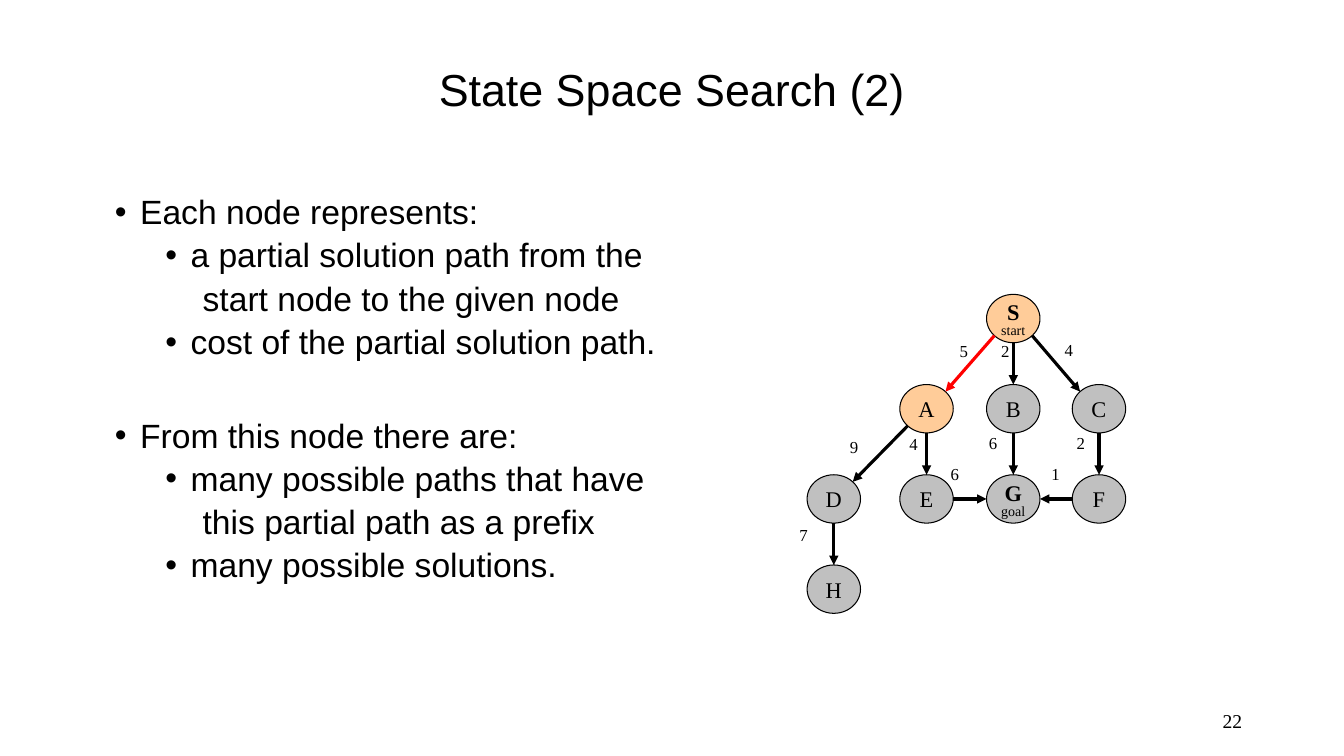
from math import hypot

from lxml.etree import SubElement
from pptx import Presentation
from pptx.dml.color import RGBColor
from pptx.enum.shapes import MSO_CONNECTOR as Line, MSO_SHAPE as Shape
from pptx.enum.text import MSO_ANCHOR as Anchor, MSO_AUTO_SIZE as Fit, PP_ALIGN as Align
from pptx.oxml.ns import qn
from pptx.util import Inches, Pt

BLACK = RGBColor(0, 0, 0)
RED = RGBColor(0xFF, 0, 0)
PEACH = RGBColor(0xFF, 0xCC, 0x99)
GRAY = RGBColor(0xC0, 0xC0, 0xC0)
SANS, SERIF = "Arial", "Times New Roman"

TITLE = "State Space Search (2)"
# text, level, bulleted, space before
POINTS = [
    ("Each node represents:", 0, True, 10),
    ("a partial solution path from the", 1, True, 5),
    ("start node to the given node", 1, False, 5),
    ("cost of the partial solution path.", 1, True, 5),
    ("From this node there are:", 0, True, 41),
    ("many possible paths that have", 1, True, 5),
    ("this partial path as a prefix", 1, False, 5),
    ("many possible solutions.", 1, True, 5),
]
PAGE = "22"

# name: column, row, fill, note
NODES = {
    "S": (2, 0, PEACH, "start"),
    "A": (1, 1, PEACH, ""),
    "B": (2, 1, GRAY, ""),
    "C": (3, 1, GRAY, ""),
    "D": (0, 2, GRAY, ""),
    "E": (1, 2, GRAY, ""),
    "G": (2, 2, GRAY, "goal"),
    "F": (3, 2, GRAY, ""),
    "H": (0, 3, GRAY, ""),
}
# from, to, cost, left and top of the cost, colour
EDGES = [
    ("S", "A", "5", 9.42, 3.33, RED),
    ("S", "B", "2", 9.83, 3.33, BLACK),
    ("S", "C", "4", 10.46, 3.32, BLACK),
    ("A", "D", "9", 8.33, 4.28, BLACK),
    ("A", "E", "4", 8.92, 4.25, BLACK),
    ("B", "G", "6", 9.71, 4.24, BLACK),
    ("C", "F", "2", 10.58, 4.24, BLACK),
    ("D", "H", "7", 7.83, 5.16, BLACK),
    ("E", "G", "6", 9.33, 4.55, BLACK),
    ("F", "G", "1", 10.33, 4.55, BLACK),
]
COLS = (8.27, 9.19, 10.05, 10.9)
TOP, STEP = 3.16, 0.895
WIDE, HIGH = 0.53, 0.48


def place(shape, *box):
    shape.left, shape.top, shape.width, shape.height = map(Inches, box)


def write(para, text, size, face, bold=False):
    run = para.add_run()
    run.text = text
    font = run.font
    font.size, font.name, font.bold = Pt(size), face, bold
    font.color.rgb = BLACK
    return run


def label(slide, text, size, box, side=Align.LEFT, anchor=Anchor.TOP, wrap=False):
    shape = slide.shapes.add_textbox(*map(Inches, box))
    frame = shape.text_frame
    frame.word_wrap, frame.vertical_anchor = wrap, anchor
    para = frame.paragraphs[0]
    para.alignment = side
    write(para, text, size, SERIF)


def shade(run):
    """Put a soft shadow behind the letters of a run."""
    fx = SubElement(run.font._element, qn("a:effectLst"))
    run.font._element.find(qn("a:solidFill")).addnext(fx)
    glow = SubElement(fx, qn("a:outerShdw"), blurRad="38100", dist="38100",
                      dir="2700000", algn="tl")
    tint = SubElement(glow, qn("a:srgbClr"), val="000000")
    SubElement(tint, qn("a:alpha"), val="20000")


def add_title(slide):
    shape = slide.shapes.title
    place(shape, 2.33, 0.42, 8.67, 0.92)
    frame = shape.text_frame
    frame.auto_size, frame.vertical_anchor = Fit.NONE, Anchor.MIDDLE
    frame.word_wrap = False
    para = frame.paragraphs[0]
    para.alignment = Align.CENTER
    shade(write(para, TITLE, 32, SANS))


def add_points(slide):
    shape = slide.placeholders[1]
    place(shape, 1.04, 1.89, 8.67, 5)
    frame = shape.text_frame
    frame.auto_size, frame.vertical_anchor = Fit.NONE, Anchor.TOP
    for i, (text, level, dot, gap) in enumerate(POINTS):
        para = frame.add_paragraph() if i else frame.paragraphs[0]
        para.level, para.alignment = level, Align.LEFT
        para.line_spacing, para.space_before = 0.9, Pt(gap)
        props = para._p.get_or_add_pPr()
        left = 0.25 + 0.5 * level if dot else 0.87
        props.set("marL", str(Inches(left)))
        props.set("indent", str(Inches(-0.25 if dot else 0)))
        if dot:
            SubElement(props, qn("a:buFont"), typeface=SANS)
            SubElement(props, qn("a:buChar"), char="•")
        else:
            SubElement(props, qn("a:buNone"))
        write(para, text, 24, SANS)


def centre(name):
    col, row = NODES[name][:2]
    return COLS[col], TOP + STEP * row


def add_node(slide, name):
    fill, note = NODES[name][2:]
    x, y = centre(name)
    node = slide.shapes.add_shape(Shape.OVAL, 0, 0, 0, 0)
    place(node, x - WIDE / 2, y - HIGH / 2, WIDE, HIGH)
    node.shadow.inherit = False
    node.fill.solid()
    node.fill.fore_color.rgb = fill
    node.line.color.rgb, node.line.width = BLACK, Pt(0.75)
    frame = node.text_frame
    frame.word_wrap, frame.vertical_anchor = False, Anchor.MIDDLE
    para = frame.paragraphs[0]
    para.alignment = Align.CENTER
    write(para, name, 16, SERIF, bool(note))
    if note:
        para = frame.add_paragraph()
        para.alignment, para.line_spacing = Align.CENTER, 0.8
        write(para, note, 10, SERIF)


def add_edge(slide, start, end, color):
    """Draw an arrow between the rims, leaving at one of eight compass points."""
    (x1, y1), (x2, y2) = centre(start), centre(end)
    dx, dy = (x2 > x1) - (x2 < x1), (y2 > y1) - (y2 < y1)
    size = hypot(dx, dy)
    rx, ry = dx / size * WIDE / 2, dy / size * HIGH / 2
    ends = map(Inches, (x1 + rx, y1 + ry, x2 - rx, y2 - ry))
    edge = slide.shapes.add_connector(Line.STRAIGHT, *ends)
    edge.line.color.rgb, edge.line.width = color, Pt(2.25)
    SubElement(edge.line._get_or_add_ln(), qn("a:tailEnd"), type="triangle")
    SubElement(edge._element.spPr, qn("a:effectLst"))


def main():
    deck = Presentation()
    deck.slide_width, deck.slide_height = Inches(13.33), Inches(7.5)
    slide = deck.slides.add_slide(deck.slide_layouts[1])
    add_title(slide)
    add_points(slide)
    for name in NODES:
        add_node(slide, name)
    for start, end, cost, x, y, color in EDGES:
        add_edge(slide, start, end, color)
        label(slide, cost, 12, (x, y, 0.28, 0.3))
    label(slide, PAGE, 14, (9.42, 6.95, 3, 0.4), Align.RIGHT, Anchor.MIDDLE, True)
    deck.save("out.pptx")


if __name__ == "__main__":
    main()
